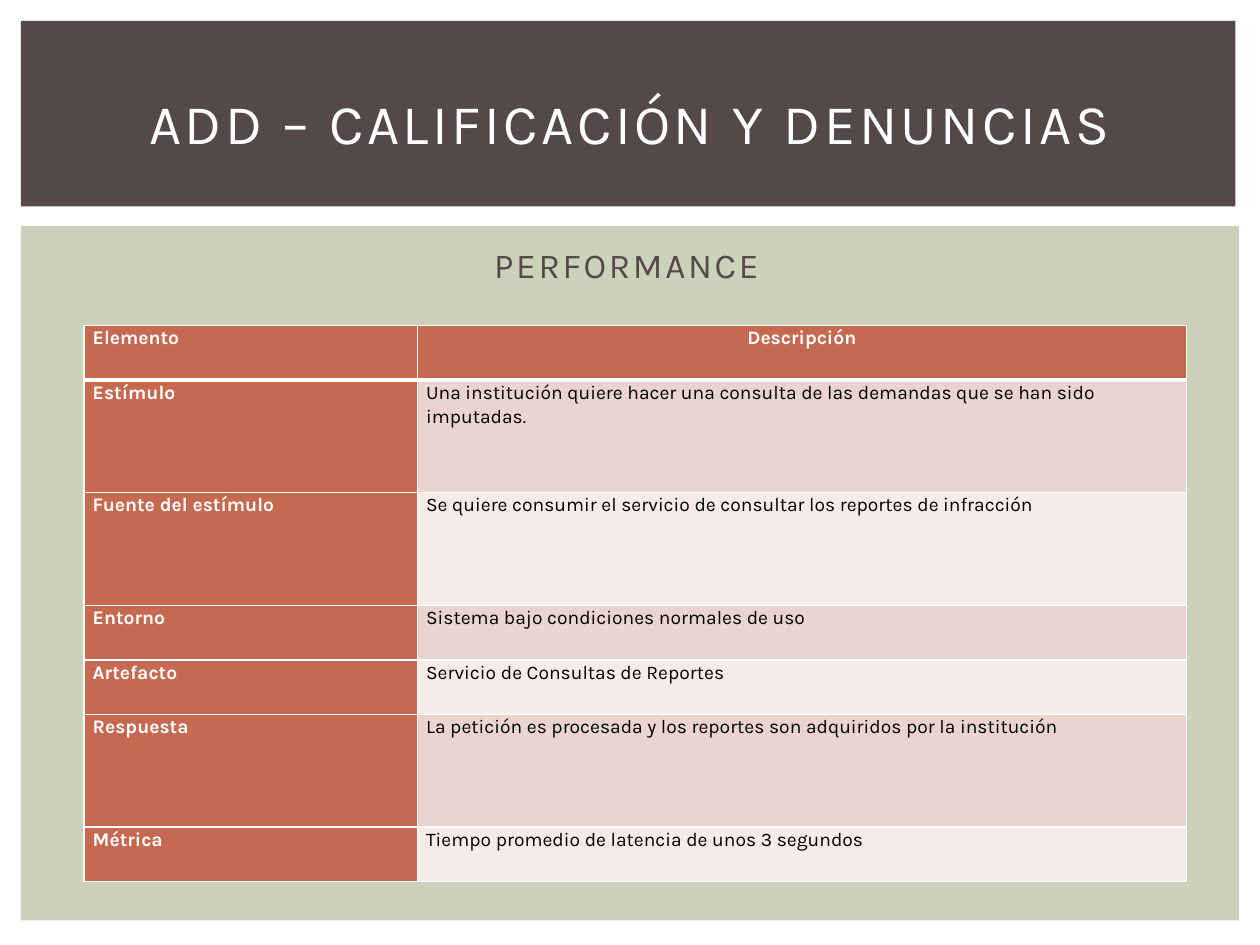
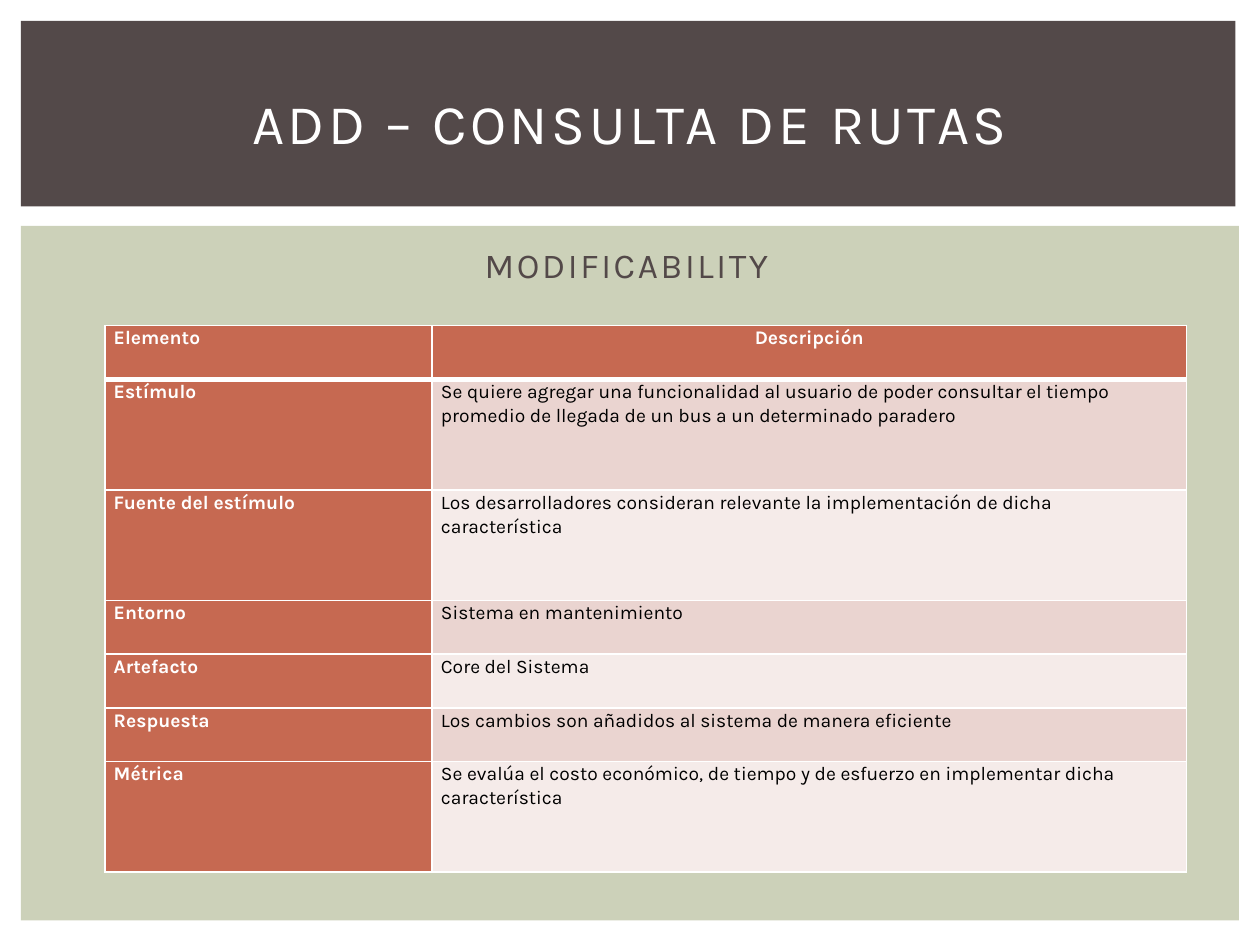
from dataclasses import dataclass

from pptx import Presentation
from pptx.dml.color import RGBColor
from pptx.enum import shapes, text
from pptx.oxml import parse_xml
from pptx.oxml.ns import nsdecls
from pptx.util import Pt

FONT = "Karla"
WHITE = RGBColor(0xFF, 0xFF, 0xFF)
BLACK = RGBColor(0x00, 0x00, 0x00)
BROWN = RGBColor(0x53, 0x49, 0x49)
SAGE = RGBColor(0xCC, 0xD1, 0xB9)
RUST = RGBColor(0xC6, 0x69, 0x51)
ROW_BANDS = (RGBColor(0xF5, 0xEB, 0xE9), RGBColor(0xEA, 0xD4, 0xD0))

ELEMENTS = ("Estímulo", "Fuente del estímulo", "Entorno", "Artefacto", "Respuesta", "Métrica")
TABLE_TOP = 186
TABLE_RIGHT = 678


@dataclass(frozen=True)
class Box:
    left: float
    top: float
    width: float
    height: float


@dataclass(frozen=True)
class Scenario:
    title: str
    attribute: str
    descriptions: tuple[str, ...]
    table_left: float
    element_width: float
    short_row: float
    tall_row: float
    tall_elements: tuple[str, ...]


CONTENT_BAND = Box(12, 129, 696, 397)
TITLE_BAND = Box(12, 12, 694, 106)
TITLE_BOX = Box(30, 28, 660, 83)
ATTRIBUTE_BOX = Box(30, 135.4, 656, 347)

SCENARIOS = (
    Scenario(
        "ADD – CALIFICACIÓN Y DENUNCIAS",
        "PERFORMANCE",
        (
            "Una institución quiere hacer una consulta de las demandas que se han sido imputadas.",
            "Se quiere consumir el servicio de consultar los reportes de infracción",
            "Sistema bajo condiciones normales de uso",
            "Servicio de Consultas de Reportes",
            "La petición es procesada y los reportes son adquiridos por la institución",
            "Tiempo promedio de latencia de unos 3 segundos",
        ),
        48, 190.5, 31.2, 64.4,
        ("Estímulo", "Fuente del estímulo", "Respuesta"),
    ),
    Scenario(
        "ADD – CONSULTA DE RUTAS",
        "MODIFICABILITY",
        (
            "Se quiere agregar una funcionalidad al usuario de poder consultar el tiempo "
            "promedio de llegada de un bus a un determinado paradero",
            "Los desarrolladores consideran relevante la implementación de dicha característica",
            "Sistema en mantenimiento",
            "Core del Sistema",
            "Los cambios son añadidos al sistema de manera eficiente",
            "Se evalúa el costo económico, de tiempo y de esfuerzo en implementar dicha característica",
        ),
        60, 187, 30.7, 63.2,
        ("Estímulo", "Fuente del estímulo", "Métrica"),
    ),
)


def place(shape, box: Box) -> None:
    shape.left, shape.top = Pt(box.left), Pt(box.top)
    shape.width, shape.height = Pt(box.width), Pt(box.height)


def style_run(run, size: float, color: RGBColor, bold: bool = False, spacing: float = 0) -> None:
    run.font.name = FONT
    run.font.size = Pt(size)
    run.font.bold = bold
    run.font.color.rgb = color
    if spacing:
        run._r.get_or_add_rPr().set("spc", str(round(spacing * 100)))


def add_layout_band(slide, box: Box, color: RGBColor, depth: int) -> None:
    """Draw a band and move it to the slide's layout, so that all slides share it."""
    band = slide.shapes.add_shape(
        shapes.MSO_SHAPE.RECTANGLE, Pt(box.left), Pt(box.top), Pt(box.width), Pt(box.height)
    )
    band.fill.solid()
    band.fill.fore_color.rgb = color
    band.line.fill.background()
    band.shadow.inherit = False
    slide.slide_layout.shapes.element.insert(2 + depth, band.element)


def fill_heading(
    placeholder, words: str, box: Box, size: float, color: RGBColor, spacing: float, anchor
) -> None:
    place(placeholder, box)
    frame = placeholder.text_frame
    frame.text = words
    frame.auto_size = text.MSO_AUTO_SIZE.NONE
    frame.vertical_anchor = anchor
    heading = frame.paragraphs[0]
    heading.alignment = text.PP_ALIGN.CENTER
    properties = heading._p.get_or_add_pPr()
    properties.set("marL", "0")
    properties.set("indent", "0")
    properties.append(parse_xml(f"<a:buNone {nsdecls('a')}/>"))
    style_run(heading.runs[0], size, color, spacing=spacing)


def set_borders(cell, top: float, bottom: float) -> None:
    widths = {"L": 1, "R": 1, "T": top, "B": bottom}
    for position, (side, width) in enumerate(widths.items()):
        border = parse_xml(
            f'<a:ln{side} {nsdecls("a")} w="{Pt(width)}"><a:solidFill>'
            f'<a:srgbClr val="{WHITE}"/></a:solidFill></a:ln{side}>'
        )
        cell._tc.get_or_add_tcPr().insert(position, border)


def fill_cell(cell, words: str, row: int, column: int) -> None:
    is_label = row == 0 or column == 0
    cell.fill.solid()
    cell.fill.fore_color.rgb = RUST if is_label else ROW_BANDS[row % 2]
    cell.margin_left = cell.margin_right = Pt(5)
    cell.margin_top = cell.margin_bottom = 0
    set_borders(cell, top=3 if row == 1 else 1, bottom=3 if row == 0 else 1)
    cell.text_frame.text = words
    entry = cell.text_frame.paragraphs[0]
    entry.line_spacing = 1.07
    if row == 0 and column == 1:
        entry.alignment = text.PP_ALIGN.CENTER
    style_run(entry.runs[0], 11, WHITE if is_label else BLACK, bold=is_label)


def add_scenario_table(slide, scenario: Scenario) -> None:
    rows = [("Elemento", "Descripción"), *zip(ELEMENTS, scenario.descriptions)]
    heights = [
        scenario.tall_row if element in scenario.tall_elements else scenario.short_row
        for element, _ in rows
    ]
    width = TABLE_RIGHT - scenario.table_left
    table = slide.shapes.add_table(
        len(rows), 2, Pt(scenario.table_left), Pt(TABLE_TOP), Pt(width), Pt(sum(heights))
    ).table
    table.columns[0].width = Pt(scenario.element_width)
    table.columns[1].width = Pt(width - scenario.element_width)
    for row, (entries, height) in enumerate(zip(rows, heights)):
        table.rows[row].height = Pt(height)
        for column, words in enumerate(entries):
            fill_cell(table.cell(row, column), words, row, column)


def add_scenario_slide(deck, scenario: Scenario):
    slide = deck.slides.add_slide(deck.slide_layouts[1])
    fill_heading(
        slide.shapes.title, scenario.title, TITLE_BOX, 32, WHITE, 2, text.MSO_ANCHOR.MIDDLE
    )
    fill_heading(
        slide.placeholders[1], scenario.attribute, ATTRIBUTE_BOX, 20, BROWN, 1.5,
        text.MSO_ANCHOR.TOP,
    )
    add_scenario_table(slide, scenario)
    return slide


def main() -> None:
    deck = Presentation()
    deck.slide_width, deck.slide_height = Pt(720), Pt(540)
    slides = [add_scenario_slide(deck, scenario) for scenario in SCENARIOS]
    for depth, (box, color) in enumerate(((CONTENT_BAND, SAGE), (TITLE_BAND, BROWN))):
        add_layout_band(slides[0], box, color, depth)
    deck.save("out.pptx")


if __name__ == "__main__":
    main()
